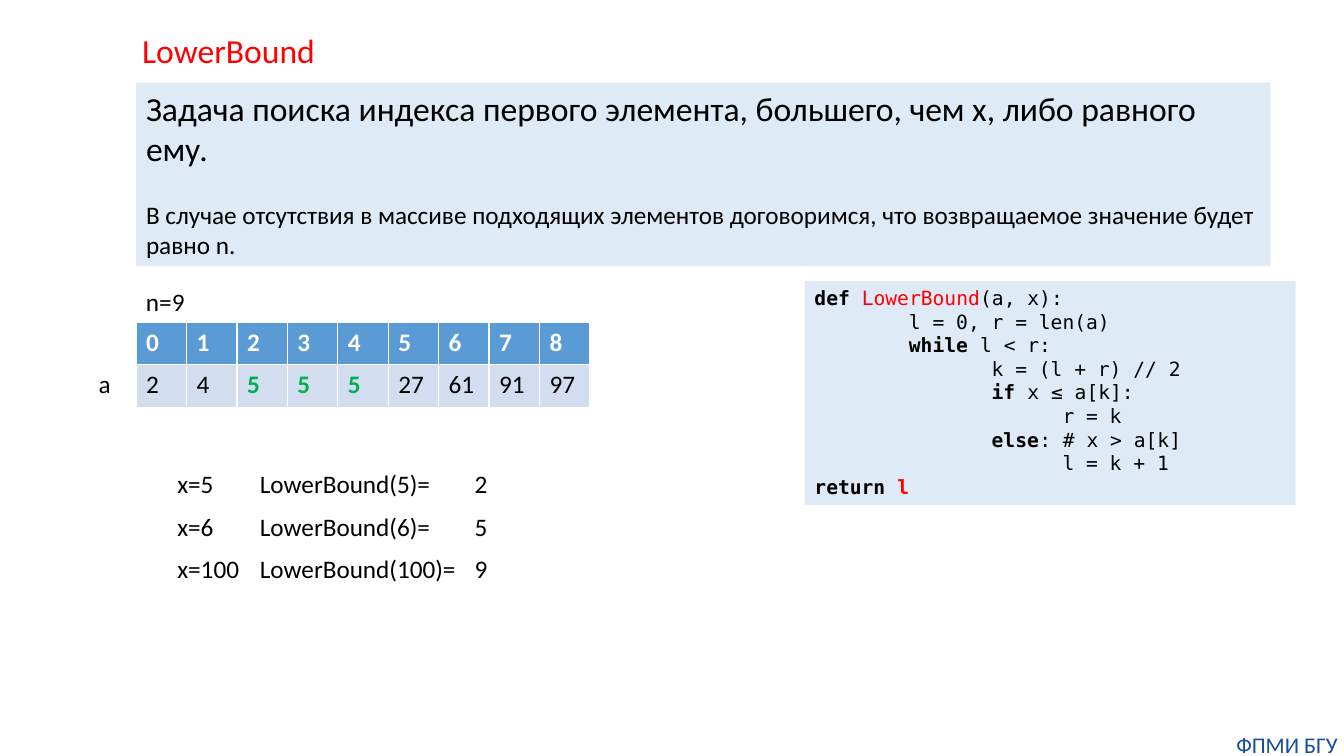
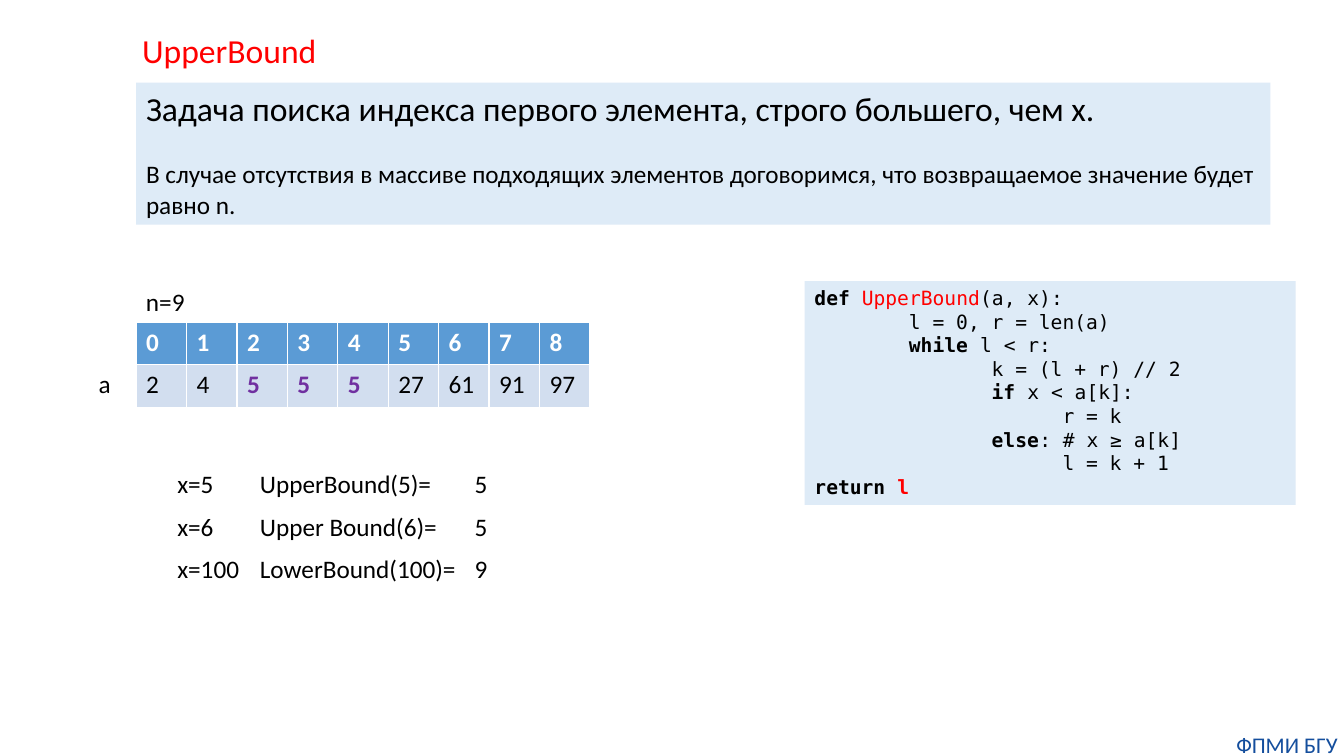
import pptx
import pptx.dml.color
import pptx.enum.shapes
import pptx.enum.text
import pptx.util

Inches = pptx.util.Inches
Pt = pptx.util.Pt
RGBColor = pptx.dml.color.RGBColor
PP_ALIGN = pptx.enum.text.PP_ALIGN
MSO_ANCHOR = pptx.enum.text.MSO_ANCHOR

BLACK = RGBColor(0x00, 0x00, 0x00)
WHITE = RGBColor(0xFF, 0xFF, 0xFF)
RED = RGBColor(0xFF, 0x00, 0x00)
GREEN = RGBColor(0x00, 0xB0, 0x50)
PURPLE = RGBColor(0x70, 0x30, 0xA0)
NAVY = RGBColor(0x14, 0x4E, 0x9D)
PANEL_BLUE = RGBColor(0xDE, 0xEB, 0xF7)
HEADER_BLUE = RGBColor(0x5B, 0x9B, 0xD5)
ROW_BLUE = RGBColor(0xD2, 0xDE, 0xEF)

TEXT_FONT = "Calibri"
CODE_FONT = "DejaVu Sans Mono"

FOOTER = "ФПМИ БГУ"
CONVENTION = ("В случае отсутствия в массиве подходящих элементов договоримся, "
              "что возвращаемое значение будет равно n.")
ARRAY = [2, 4, 5, 5, 5, 27, 61, 91, 97]
SEARCHED = 5

SLIDES = [
    {
        "name": "LowerBound",
        "task": "Задача поиска индекса первого элемента, большего, чем x, либо равного ему.",
        "task_height": 1.82,
        "match_color": GREEN,
        "condition": "x ≤ a[k]",
        "otherwise": "x > a[k]",
        "examples": [
            ("x=5", "LowerBound(5)=", "2"),
            ("x=6", "LowerBound(6)=", "5"),
            ("x=100", "LowerBound(100)=", "9"),
        ],
    },
    {
        "name": "UpperBound",
        "task": "Задача поиска индекса первого элемента, строго большего, чем x.",
        "task_height": 1.41,
        "match_color": PURPLE,
        "condition": "x < a[k]",
        "otherwise": "x ≥ a[k]",
        "examples": [
            ("x=5", "UpperBound(5)=", "5"),
            ("x=6", "Upper Bound(6)=", "5"),
            ("x=100", "LowerBound(100)=", "9"),
        ],
    },
]

CONTENT_LEFT = 1.35
CELL_WIDTH, CELL_HEIGHT = 0.5, 0.42
TABLE_TOP = 3.2
LABEL_HEIGHT = 0.4
EXAMPLE_TOP, EXAMPLE_STEP = 4.6, 0.42
EXAMPLE_COLUMNS = [(1.66, 0.82), (2.48, 2.13), (4.61, 0.33)]


def code_lines(name, condition, otherwise):
    """Return the search function as lines of (text, bold, color) runs."""
    body, block, inner = " " * 8, " " * 15, " " * 21
    return [
        [("def ", True, BLACK), (name, False, RED), ("(a, x):", False, BLACK)],
        [(body + "l = 0, r = len(a)", False, BLACK)],
        [(body + "while ", True, BLACK), ("l < r:", False, BLACK)],
        [(block + "k = (l + r) // 2", False, BLACK)],
        [(block + "if", True, BLACK), (f" {condition}:", False, BLACK)],
        [(inner + "r = k", False, BLACK)],
        [(block + "else", True, BLACK), (f": # {otherwise}", False, BLACK)],
        [(inner + "l = k + 1", False, BLACK)],
        [("return ", True, BLACK), ("l", True, RED)],
    ]


def format_run(run, size, color=BLACK, bold=False, font=TEXT_FONT):
    run.font.name = font
    run.font.size = Pt(size)
    run.font.bold = bold
    run.font.color.rgb = color


def write(paragraph, text, size, color=BLACK, bold=False):
    paragraph.text = text
    for run in paragraph.runs:
        format_run(run, size, color, bold)


def add_label(slide, left, top, width, text):
    label = slide.shapes.add_textbox(
        Inches(left), Inches(top), Inches(width), Inches(LABEL_HEIGHT))
    label.text_frame.word_wrap = True
    label.text_frame.margin_right = 0
    write(label.text_frame.paragraphs[0], text, 18)


def add_panel(slide, left, top, width, height):
    """Add a pale blue rectangle and return its text frame."""
    panel = slide.shapes.add_shape(
        pptx.enum.shapes.MSO_SHAPE.RECTANGLE,
        Inches(left), Inches(top), Inches(width), Inches(height))
    panel.shadow.inherit = False
    panel.fill.solid()
    panel.fill.fore_color.rgb = PANEL_BLUE
    panel.line.fill.background()
    text_frame = panel.text_frame
    text_frame.word_wrap = True
    text_frame.vertical_anchor = MSO_ANCHOR.TOP
    text_frame.paragraphs[0].alignment = PP_ALIGN.LEFT
    return text_frame


def add_title(slide, text):
    title = slide.shapes.title
    title.left, title.top = Inches(1.31), Inches(0.25)
    title.width, title.height = Inches(4), Inches(0.5)
    text_frame = title.text_frame
    text_frame.auto_size = pptx.enum.text.MSO_AUTO_SIZE.NONE
    text_frame.vertical_anchor = MSO_ANCHOR.TOP
    write(text_frame.paragraphs[0], text, 24, RED)
    text_frame.paragraphs[0].alignment = PP_ALIGN.LEFT


def add_task(slide, task, height):
    text_frame = add_panel(slide, CONTENT_LEFT, 0.82, 11.25, height)
    write(text_frame.paragraphs[0], task, 24)
    convention = text_frame.add_paragraph()
    convention.alignment = PP_ALIGN.LEFT
    convention.space_before = Pt(22)
    write(convention, CONVENTION, 18)


def add_array(slide, match_color):
    add_label(slide, CONTENT_LEFT, 2.79, 0.7, f"n={len(ARRAY)}")
    add_label(slide, 0.88, 3.6, 0.33, "a")
    table = slide.shapes.add_table(
        2, len(ARRAY), Inches(CONTENT_LEFT), Inches(TABLE_TOP),
        Inches(CELL_WIDTH * len(ARRAY)), Inches(CELL_HEIGHT * 2)).table
    for index, value in enumerate(ARRAY):
        matches = value == SEARCHED
        cells = [
            (index, HEADER_BLUE, WHITE, True),
            (value, ROW_BLUE, match_color if matches else BLACK, matches),
        ]
        for row, (number, fill, color, bold) in enumerate(cells):
            cell = table.cell(row, index)
            cell.fill.solid()
            cell.fill.fore_color.rgb = fill
            write(cell.text_frame.paragraphs[0], str(number), 18, color, bold)


def add_examples(slide, examples):
    for row, example in enumerate(examples):
        top = EXAMPLE_TOP + row * EXAMPLE_STEP
        for (left, width), text in zip(EXAMPLE_COLUMNS, example):
            add_label(slide, left, top, width, text)


def add_code(slide, lines):
    text_frame = add_panel(slide, 7.98, 2.79, 4.87, 2.22)
    for number, line in enumerate(lines):
        paragraph = text_frame.add_paragraph() if number else text_frame.paragraphs[0]
        paragraph.alignment = PP_ALIGN.LEFT
        for text, bold, color in line:
            run = paragraph.add_run()
            run.text = text
            format_run(run, 14, color, bold, CODE_FONT)


def add_footer(slide):
    footer = slide.shapes.add_textbox(
        Inches(12.2), Inches(7.25), Inches(1.13), Inches(0.27))
    text_frame = footer.text_frame
    text_frame.word_wrap = True
    text_frame.margin_left = text_frame.margin_right = 0
    text_frame.margin_top = text_frame.margin_bottom = 0
    write(text_frame.paragraphs[0], FOOTER, 16, NAVY)
    text_frame.paragraphs[0].alignment = PP_ALIGN.CENTER


def main():
    presentation = pptx.Presentation()
    presentation.slide_width = Inches(13.33)
    presentation.slide_height = Inches(7.5)
    title_only = presentation.slide_layouts[5]
    for content in SLIDES:
        slide = presentation.slides.add_slide(title_only)
        add_title(slide, content["name"])
        add_task(slide, content["task"], content["task_height"])
        add_array(slide, content["match_color"])
        add_examples(slide, content["examples"])
        add_code(slide, code_lines(
            content["name"], content["condition"], content["otherwise"]))
        add_footer(slide)
    presentation.save("out.pptx")


if __name__ == "__main__":
    main()
